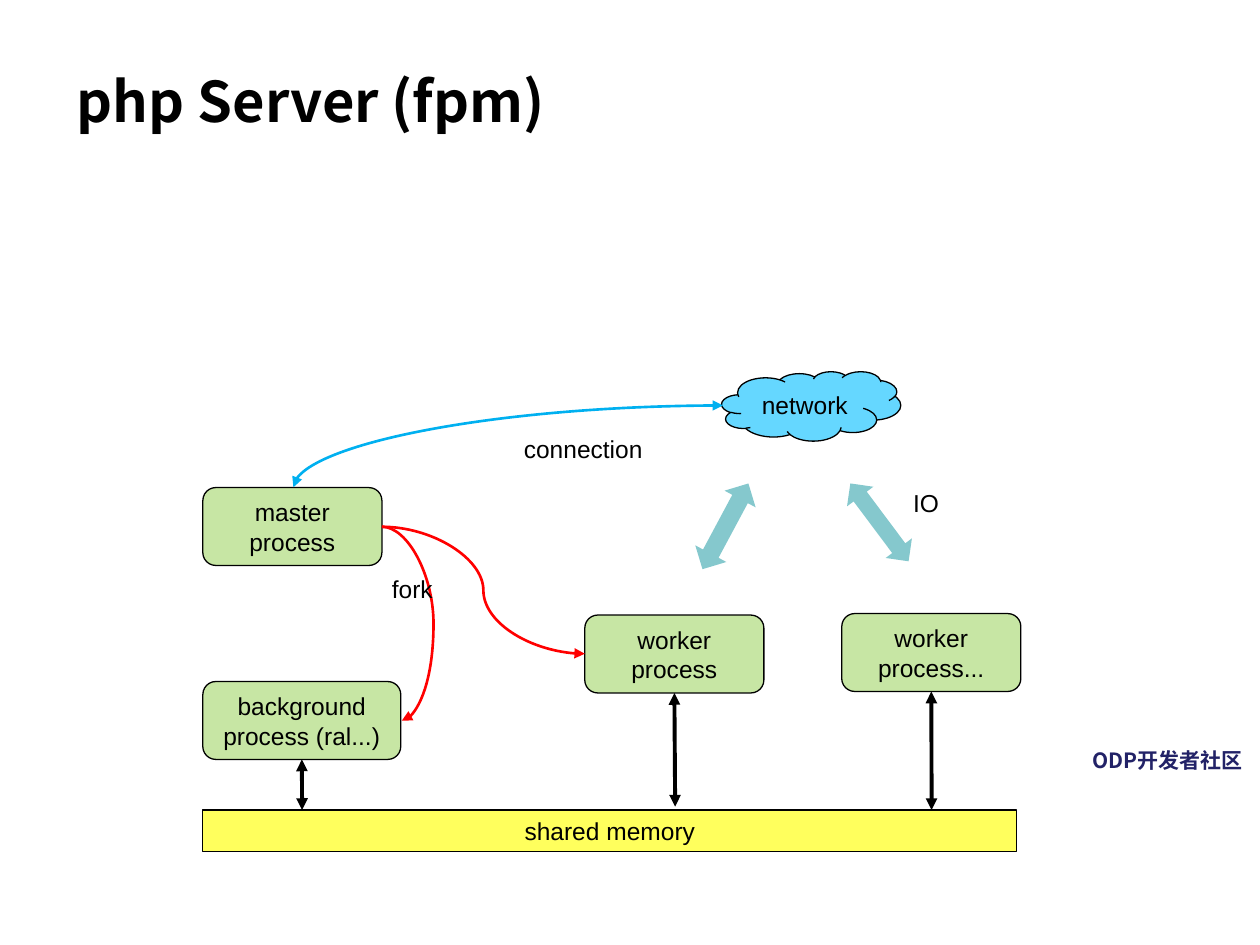
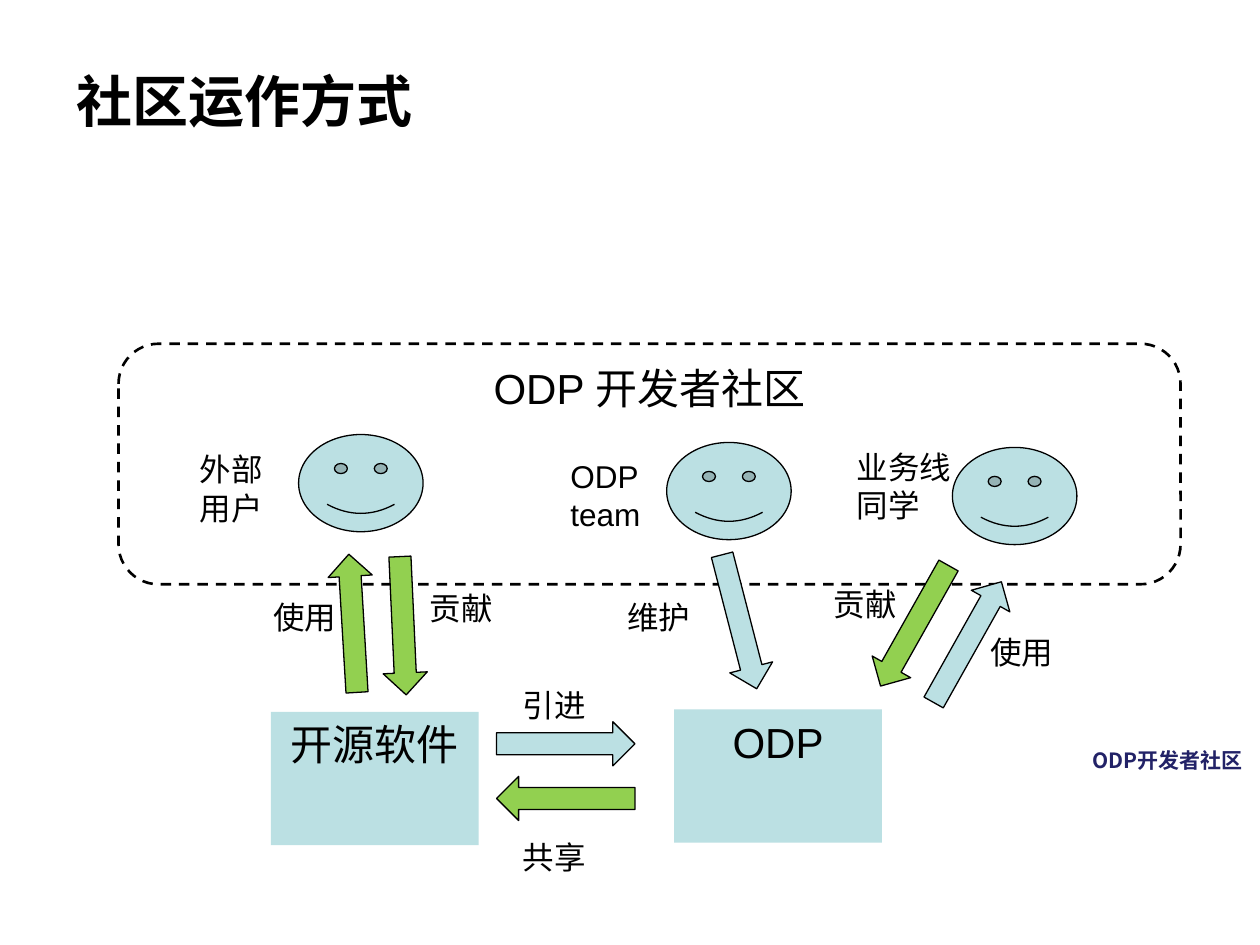
"""Build two slides: the php server process model and how the developer community works."""
from dataclasses import dataclass
from typing import Optional

import lxml.etree
import pptx
import pptx.dml.color
import pptx.enum.dml
import pptx.enum.shapes
import pptx.enum.text
import pptx.oxml.ns
import pptx.presentation
import pptx.shapes.autoshape
import pptx.shapes.connector
import pptx.slide
import pptx.util

Cm = pptx.util.Cm
Pt = pptx.util.Pt
RGBColor = pptx.dml.color.RGBColor
Geometry = pptx.enum.shapes.MSO_SHAPE
Connection = pptx.enum.shapes.MSO_CONNECTOR
Anchor = pptx.enum.text.MSO_ANCHOR
Align = pptx.enum.text.PP_ALIGN
qn = pptx.oxml.ns.qn

BLACK = RGBColor(0x00, 0x00, 0x00)
NAVY = RGBColor(0x22, 0x22, 0x67)
PROCESS_GREEN = RGBColor(0xC7, 0xE6, 0xA4)
MEMORY_YELLOW = RGBColor(0xFF, 0xFF, 0x5D)
CLOUD_BLUE = RGBColor(0x65, 0xD7, 0xFF)
IO_TEAL = RGBColor(0x85, 0xC8, 0xCD)
FORK_RED = RGBColor(0xFF, 0x00, 0x00)
CONNECTION_BLUE = RGBColor(0x00, 0xB0, 0xF0)
PALE_BLUE = RGBColor(0xBB, 0xE0, 0xE3)
LEAF_GREEN = RGBColor(0x92, 0xD0, 0x50)

LATIN_FONT = "Arial"
HEADING_FONT = "Noto Sans CJK SC"
BOTTOM_SIDE = 2


@dataclass(frozen=True)
class TextStyle:
    """Look of a piece of text."""
    size: int
    font: str = LATIN_FONT
    color: RGBColor = BLACK
    bold: bool = False
    leading: float = 1.22
    align: Align = Align.LEFT


TITLE = TextStyle(32, HEADING_FONT, bold=True, leading=1.28)
FOOTER = TextStyle(12, HEADING_FONT, NAVY, bold=True)
SERVER_LABEL = TextStyle(14)
SERVER_BOX = TextStyle(14, align=Align.CENTER)
COMMUNITY_LABEL = TextStyle(18)
COMMUNITY_BOX = TextStyle(24, align=Align.CENTER)


@dataclass(frozen=True)
class Box:
    """A preset shape in centimetres, with optional text."""
    geometry: Geometry
    left: float
    top: float
    width: float
    height: float
    fill: Optional[RGBColor]
    text: str = ""
    style: TextStyle = SERVER_BOX
    anchor: Anchor = Anchor.MIDDLE
    line_width: float = 0.75
    rotation: float = 0
    dashed: bool = False


@dataclass(frozen=True)
class Label:
    """A text box in centimetres."""
    text: str
    left: float
    top: float
    width: float
    height: float
    style: TextStyle
    wrap: bool = True


@dataclass(frozen=True)
class Link:
    """A connector in centimetres with triangular arrowheads."""
    start: tuple[float, float]
    end: tuple[float, float]
    color: RGBColor = BLACK
    width: float = 2.25
    both_ends: bool = True
    kind: Connection = Connection.STRAIGHT


def write_text(frame: pptx.text.text.TextFrame, text: str, style: TextStyle) -> None:
    """Fill a text frame, one paragraph per line."""
    frame.text = text
    for paragraph in frame.paragraphs:
        paragraph.alignment = style.align
        paragraph.line_spacing = Pt(style.size * style.leading)
        font = paragraph.font
        font.name, font.size, font.bold = style.font, Pt(style.size), style.bold
        font.color.rgb = style.color
        defaults = paragraph._p.get_or_add_pPr().find(qn("a:defRPr"))
        lxml.etree.SubElement(defaults, qn("a:ea"), typeface=HEADING_FONT)


def draw_box(slide: pptx.slide.Slide, box: Box) -> pptx.shapes.autoshape.Shape:
    """Draw a preset shape with its text."""
    shape = slide.shapes.add_shape(
        box.geometry, Cm(box.left), Cm(box.top), Cm(box.width), Cm(box.height))
    shape.shadow.inherit = False
    shape.rotation = box.rotation
    if box.fill is None:
        shape.fill.background()
    else:
        shape.fill.solid()
        shape.fill.fore_color.rgb = box.fill
    if box.line_width:
        shape.line.color.rgb = BLACK
        shape.line.width = Pt(box.line_width)
    else:
        shape.line.fill.background()
    if box.dashed:
        shape.line.dash_style = pptx.enum.dml.MSO_LINE.DASH
    if box.text:
        shape.text_frame.vertical_anchor = box.anchor
        write_text(shape.text_frame, box.text, box.style)
    return shape


def draw_label(slide: pptx.slide.Slide, label: Label) -> None:
    """Draw a text box."""
    shape = slide.shapes.add_textbox(
        Cm(label.left), Cm(label.top), Cm(label.width), Cm(label.height))
    shape.text_frame.word_wrap = label.wrap
    write_text(shape.text_frame, label.text, label.style)


def draw_link(slide: pptx.slide.Slide, link: Link) -> pptx.shapes.connector.Connector:
    """Draw a connector with arrowheads."""
    connector = slide.shapes.add_connector(
        link.kind, *(Cm(value) for value in link.start + link.end))
    connector.line.color.rgb = link.color
    connector.line.width = Pt(link.width)
    properties = connector._element.spPr
    line = properties.get_or_add_ln()
    for end in ("a:headEnd", "a:tailEnd") if link.both_ends else ("a:tailEnd",):
        lxml.etree.SubElement(line, qn(end), type="triangle")
    lxml.etree.SubElement(properties, qn("a:effectLst"))
    return connector


def bend(connector: pptx.shapes.connector.Connector, ratio: float) -> None:
    """Set where a curved connector turns, as a share of its width."""
    geometry = connector._element.spPr.find(qn("a:prstGeom"))
    adjustments = geometry.find(qn("a:avLst"))
    if adjustments is None:
        adjustments = lxml.etree.SubElement(geometry, qn("a:avLst"))
    lxml.etree.SubElement(
        adjustments, qn("a:gd"), name="adj1", fmla=f"val {round(ratio * 100000)}")


def make_quarter_curve(connector: pptx.shapes.connector.Connector) -> None:
    """Turn a curved connector into a single arc rotated by 90 degrees."""
    properties = connector._element.spPr
    properties.find(qn("a:prstGeom")).set("prst", "curvedConnector2")
    properties.find(qn("a:xfrm")).set("rot", str(90 * 60000))


def add_titled_slide(presentation: pptx.presentation.Presentation,
                     title: str) -> pptx.slide.Slide:
    """Add a blank slide with the shared title and footer."""
    slide = presentation.slides.add_slide(presentation.slide_layouts[6])
    draw_label(slide, Label(title, 1.3, 1.12, 22.86, 3.18, TITLE))
    draw_label(slide, Label("ODP开发者社区", 21.77, 14.94, 3.6, 0.76, FOOTER))
    return slide


def process_box(text: str, left: float, top: float, width: float = 3.61) -> Box:
    """Describe a process of the server."""
    return Box(Geometry.ROUNDED_RECTANGLE, left, top, width, 1.57, PROCESS_GREEN, text)


def build_server_slide(presentation: pptx.presentation.Presentation) -> None:
    """Show the processes of the php server."""
    slide = add_titled_slide(presentation, "php Server (fpm)")
    memory_top = 16.33
    draw_box(slide, process_box("master\nprocess", 4.09, 9.83))
    draw_box(slide, Box(Geometry.RECTANGLE, 4.09, memory_top, 16.41, 0.84,
                        MEMORY_YELLOW, "shared memory"))
    draw_box(slide, Box(Geometry.CLOUD, 14.55, 7.49, 3.61, 1.4, CLOUD_BLUE, "network"))
    for left, top, width, rotation in ((14.27, 9.63, 0.71, 28.2),
                                       (17.4, 9.55, 0.66, 323.2)):
        draw_box(slide, Box(Geometry.UP_DOWN_ARROW, left, top, width, 1.96, IO_TEAL,
                            line_width=0, rotation=rotation))

    for process, memory_end in (
            (process_box("background\nprocess (ral...)", 4.09, 13.74, 3.99),
             (6.09, memory_top)),
            (process_box("worker\nprocess", 11.79, 12.4), (13.61, 16.26)),
            (process_box("worker\nprocess...", 16.97, 12.37), (18.78, memory_top))):
        shape = draw_box(slide, process)
        bottom = (process.left + process.width / 2, process.top + process.height)
        draw_link(slide, Link(bottom, memory_end)).begin_connect(shape, BOTTOM_SIDE)

    master_right = (7.7, 10.62)
    for target, turn in (((11.79, 13.18), 0.5), ((8.1, 14.53), 2.6)):
        bend(draw_link(slide, Link(master_right, target, FORK_RED, 1.5, False,
                                   Connection.CURVE)), turn)
    make_quarter_curve(draw_link(slide, Link(
        (11.07, 13.33), (9.42, 4.67), CONNECTION_BLUE, 1.5, kind=Connection.CURVE)))

    draw_label(slide, Label("fork", 7.65, 11.43, 3.61, 0.86, SERVER_LABEL))
    draw_label(slide, Label("connection", 10.31, 8.61, 3.61, 0.86, SERVER_LABEL))
    draw_label(slide, Label("IO", 18.16, 9.7, 1.04, 0.86, SERVER_LABEL, wrap=False))


def build_community_slide(presentation: pptx.presentation.Presentation) -> None:
    """Show how members, the platform and open source feed each other."""
    slide = add_titled_slide(presentation, "社区运作方式")
    draw_box(slide, Box(Geometry.ROUNDED_RECTANGLE, 2.39, 6.93, 21.41, 4.85, None,
                        "ODP 开发者社区", COMMUNITY_BOX, Anchor.TOP, 1.5, dashed=True))
    for text, left, top in (("开源软件", 5.46, 14.35), ("ODP", 13.59, 14.3)):
        draw_box(slide, Box(Geometry.RECTANGLE, left, top, 4.19, 2.69, PALE_BLUE,
                            text, COMMUNITY_BOX, Anchor.TOP, 0))
    for left, top in ((6.02, 8.76), (13.44, 8.92), (19.2, 9.02)):
        draw_box(slide, Box(Geometry.SMILEY_FACE, left, top, 2.51, 1.96, PALE_BLUE))
    for left, top, rotation, fill in (
            (10.01, 14.55, 0, PALE_BLUE),
            (10.01, 15.65, 180, LEAF_GREEN),
            (13.51, 12.09, 75.5, PALE_BLUE),
            (5.72, 12.12, 266.6, LEAF_GREEN),
            (6.73, 12.17, 87.4, LEAF_GREEN),
            (17.04, 12.17, 119.4, LEAF_GREEN),
            (18.11, 12.5, 299.3, PALE_BLUE)):
        draw_box(slide, Box(Geometry.RIGHT_ARROW, left, top, 2.79, 0.89, fill,
                            rotation=rotation))

    for text, left, top in (
            ("引进", 10.29, 13.69), ("共享", 10.29, 16.76), ("维护", 12.4, 11.91),
            ("使用", 5.26, 11.91), ("贡献", 8.41, 11.73),
            ("贡献", 16.56, 11.66), ("使用", 19.71, 12.62)):
        draw_label(slide, Label(text, left, top, 2.51, 1.02, COMMUNITY_LABEL))
    for text, left, top, width in (
            ("外部用户", 3.78, 8.94, 1.96), ("ODP team", 11.25, 9.07, 2.51),
            ("业务线同学", 17.02, 8.89, 2.51)):
        draw_label(slide, Label(text, left, top, width, 1.8, COMMUNITY_LABEL))


def main() -> None:
    """Build and save the presentation."""
    presentation = pptx.Presentation()
    presentation.slide_width, presentation.slide_height = Cm(25.4), Cm(19.05)
    build_server_slide(presentation)
    build_community_slide(presentation)
    presentation.save("out.pptx")


if __name__ == "__main__":
    main()
